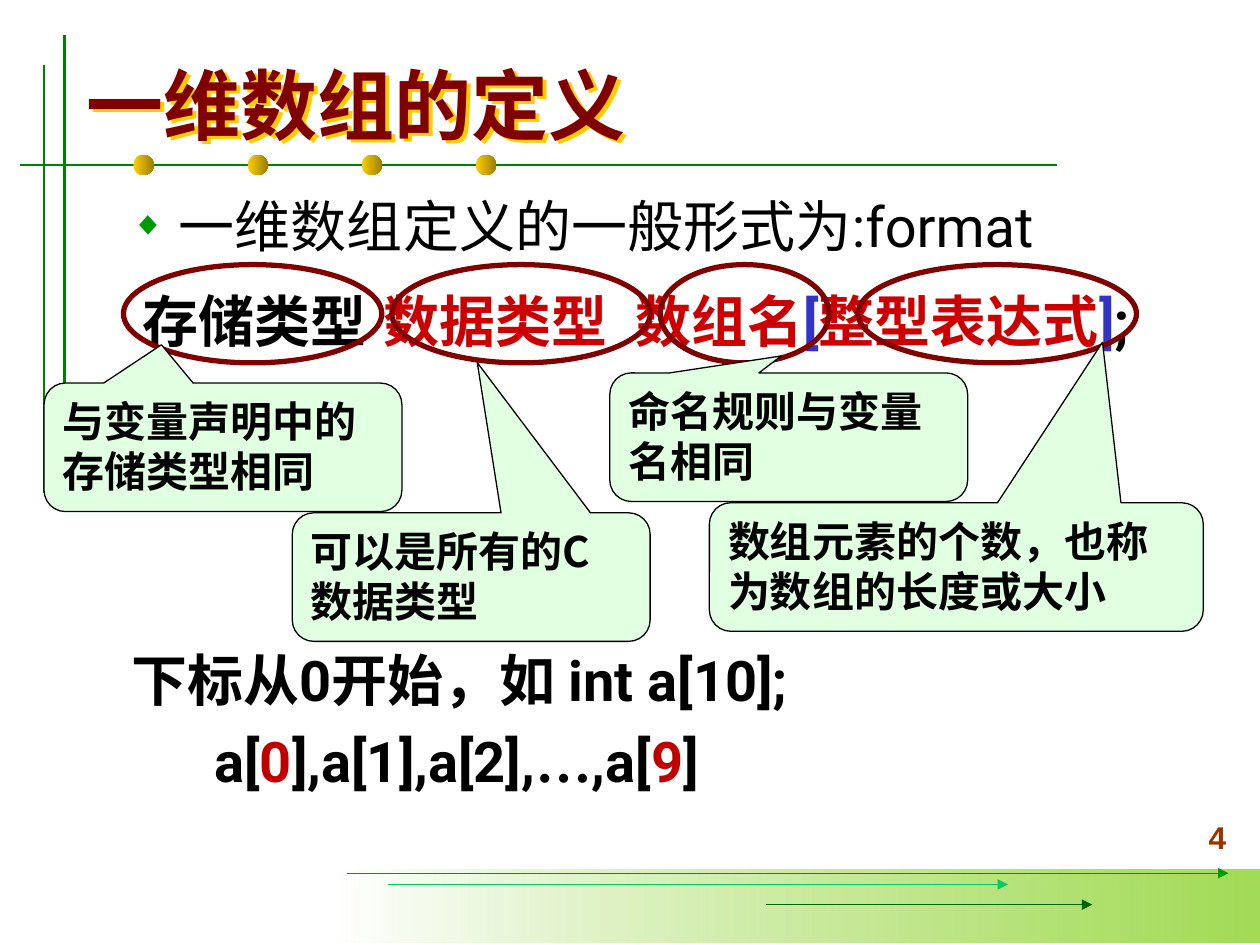
import pptx
import pptx.util
import pptx.oxml
import pptx.oxml.ns
import pptx.dml.color
import pptx.enum.shapes
import pptx.enum.text
import lxml.etree

HUES = {
    "white": "FFFFFF", "black": "000000", "lime": "8CD32D", "leaf": "009900",
    "mint": "00CC66", "pine": "006600", "green": "008000", "gold": "FFCF01",
    "bronze": "9B7E01", "rust": "993300", "wine": "800000", "red": "CC0000",
    "blue": "3333CC", "brick": "C00000", "pale": "E1FFE1", "glow": "FFCC00",
}
HAN = "Noto Sans CJK SC"
KINDS = pptx.enum.shapes.MSO_SHAPE
ALIGN = pptx.enum.text.PP_ALIGN
ANCHOR = pptx.enum.text.MSO_ANCHOR
COLS, ROWS = 100, 75
CELL = pptx.util.Inches(10) // COLS


def span(*cells):
    """Turn grid cells into slide lengths."""
    return [pptx.util.Emu(round(cell * CELL)) for cell in cells]


def hue(name):
    """Look up a colour by name."""
    return pptx.dml.color.RGBColor.from_string(HUES[name])


def node(root, tag, **attrs):
    """Append a drawing element to a parent element."""
    return lxml.etree.SubElement(root, pptx.oxml.ns.qn(tag), attrs)


def add_run(para, text, size, color="black", bold=True, face="Roboto"):
    """Add one formatted run to a paragraph."""
    run = para.add_run()
    run.text = text
    run.font.size = pptx.util.Pt(size)
    run.font.bold = bold
    run.font.name = face
    run.font.color.rgb = hue(color)
    node(run.font._element, "a:ea", typeface=HAN)


def set_frame(frame, anchor=ANCHOR.TOP):
    """Give a text frame wrapping, fixed size and an anchor."""
    frame.word_wrap = True
    frame.auto_size = pptx.enum.text.MSO_AUTO_SIZE.NONE
    frame.vertical_anchor = anchor


def set_para(para, left=0, first=0, mark=None, tabs=(), before=0, lead=1):
    """Set indents, bullet, tab stops and spacing of a paragraph."""
    props = para._p.get_or_add_pPr()
    left, first = span(left, first)
    props.set("marL", str(left))
    props.set("indent", str(first))
    if mark:
        node(node(props, "a:buClr"), "a:srgbClr", val=HUES["leaf"])
        node(props, "a:buSzPct", val="60000")
        node(props, "a:buFont", typeface="Arial")
        node(props, "a:buChar", char=mark)
    else:
        node(props, "a:buNone")
    if tabs:
        stops = node(props, "a:tabLst")
        for stop in span(*tabs):
            node(stops, "a:tab", pos=str(stop), algn="l")
    para.space_before = pptx.util.Pt(before)
    para.line_spacing = lead
    para.alignment = ALIGN.LEFT


def place(shape, *box):
    """Move and size a shape on the grid."""
    shape.left, shape.top, shape.width, shape.height = span(*box)


def add_line(slide, ends, color, width, arrow=False):
    """Draw a straight line, with an arrowhead if wanted."""
    kind = pptx.enum.shapes.MSO_CONNECTOR.STRAIGHT
    line = slide.shapes.add_connector(kind, *span(*ends))
    line.line.color.rgb = hue(color)
    line.line.width = pptx.util.Pt(width)
    if arrow:
        node(line.line._get_or_add_ln(), "a:tailEnd", type="triangle")
    node(line._element.spPr, "a:effectLst")


def add_form(slide, kind, box, fill=None, edge=None, width=0.75):
    """Draw a preset shape with a plain fill and outline."""
    form = slide.shapes.add_shape(kind, *span(*box))
    form.shadow.inherit = False
    if fill:
        form.fill.solid()
        form.fill.fore_color.rgb = hue(fill)
    else:
        form.fill.background()
    if edge:
        form.line.color.rgb = hue(edge)
        form.line.width = pptx.util.Pt(width)
    else:
        form.line.fill.background()
    return form


def add_blend(slide, kind, box, start, end, alpha=100):
    """Draw a shape that fades from left to right."""
    form = add_form(slide, kind, box)
    form.fill.gradient()
    form.fill.gradient_angle = 0
    for stop, color in zip(form.fill.gradient_stops, (start, end)):
        stop.color.rgb = hue(color)
    if alpha < 100:
        tint = form._element.spPr.findall(".//" + pptx.oxml.ns.qn("a:srgbClr"))[-1]
        node(tint, "a:alpha", val=str(alpha * 1000))


def add_note(slide, box, tip, text):
    """Draw a callout that points at a term."""
    note = add_form(slide, KINDS.ROUNDED_RECTANGULAR_CALLOUT, box, "pale", "black")
    for index, value in enumerate((*tip, 0.167)):
        note.adjustments[index] = value
    set_frame(note.text_frame)
    para = note.text_frame.paragraphs[0]
    para.alignment = ALIGN.LEFT
    add_run(para, text, 24, face=HAN)


def add_decor(slide):
    """Draw the band, arrows, rules and beads."""
    add_blend(slide, KINDS.RECTANGLE, (26.7, 69, 73.3, 5.8), "white", "lime", 80)
    for start, end, row, color in ((27.5, 97.5, 69.3, "leaf"), (30.8, 80, 70.2, "mint"),
                                   (60.8, 86.7, 71.8, "pine")):
        add_line(slide, (start, row, end, row), color, 0.75, True)
    add_line(slide, (1.6, 13.1, 83.9, 13.1), "green", 1.5)
    for index in range(4):
        add_blend(slide, KINDS.OVAL, (10.6 + 9.06 * index, 12.3, 1.6, 1.6), "gold", "bronze")
    for col, top in ((5.1, 2.8), (3.5, 5.2)):
        add_line(slide, (col, top, col, top + 33.9), "green", 1.5)


def fill_title(slide):
    """Fill the title and give it a gold shadow."""
    title = slide.shapes.title
    slide.shapes._spTree.append(title._element)
    place(title, 5.9, 4, 91, 8.4)
    set_frame(title.text_frame, ANCHOR.MIDDLE)
    para = title.text_frame.paragraphs[0]
    set_para(para)
    add_run(para, "一维数组的定义", 44, "wine", face=HAN)
    title.fill.background()
    cast = node(node(title._element.spPr, "a:effectLst"), "a:outerShdw",
                dist="38100", dir="2700000", algn="ctr", rotWithShape="0")
    node(cast, "a:srgbClr", val=HUES["glow"])


def fill_body(slide):
    """Fill the body with the syntax and the example."""
    body = slide.placeholders[1]
    slide.shapes._spTree.append(body._element)
    place(body, 9.4, 14.7, 87.9, 55.1)
    frame = body.text_frame
    set_frame(frame)
    lines = (
        (dict(left=3.8, first=-3.8, mark="◆"), [("一维数组定义的一般形式为:format", "black")]),
        (dict(first=0.9, tabs=(20.6, 40.5), before=8, lead=1.2),
         [("存储类型\t", "black"), ("数据类型\t数组名", "red"), ("[", "blue"),
          ("整型表达式", "red"), ("]", "blue"), (";", "black")]),
        (dict(before=167), [("下标从0开始，如 int a[10];", "black")]),
        (dict(left=6.6, before=8),
         [("a[", "black"), ("0", "brick"), ("],a[1],a[2],", "black"),
          ("…", "black", "Times New Roman"), (",a[", "black"), ("9", "brick"), ("]", "black")]),
    )
    for index, (style, runs) in enumerate(lines):
        para = frame.add_paragraph() if index else frame.paragraphs[0]
        set_para(para, **style)
        for text, color, *face in runs:
            add_run(para, text, 32, color, index > 0, *face)


def add_page(slide):
    """Write the page number."""
    page = slide.shapes.add_textbox(*span(77.5, 63.4, 20.8, 5))
    set_frame(page.text_frame, ANCHOR.BOTTOM)
    para = page.text_frame.paragraphs[0]
    para.alignment = ALIGN.RIGHT
    add_run(para, "4", 18, "rust", face="Arial")


def main():
    """Build the slide and save it."""
    deck = pptx.Presentation()
    deck.slide_width, deck.slide_height = span(COLS, ROWS)
    slide = deck.slides.add_slide(deck.slide_layouts[1])
    add_decor(slide)
    add_page(slide)
    fill_title(slide)
    fill_body(slide)
    terms = (
        (9.8, 20.5, (3.5, 30.4, 28.4), (-0.172, -0.798), "与变量声明中的存储类型相同"),
        (31.1, 20.5, (23.2, 40.7, 28.4), (0.017, -1.669), "可以是所有的C数据类型"),
        (52.4, 13.4, (48.4, 29.6, 28.4), (-0.021, -0.632), "命名规则与变量名相同"),
        (68.1, 22.1, (56.3, 39.9, 39.2), (0.296, -1.749), "数组元素的个数，也称为数组的长度或大小"),
    )
    for col, width, box, tip, text in terms:
        add_form(slide, KINDS.OVAL, (col, 21, width, 7.8), edge="wine", width=3)
        add_note(slide, (*box, 10.2), tip, text)
    deck.save("out.pptx")


if __name__ == "__main__":
    main()
